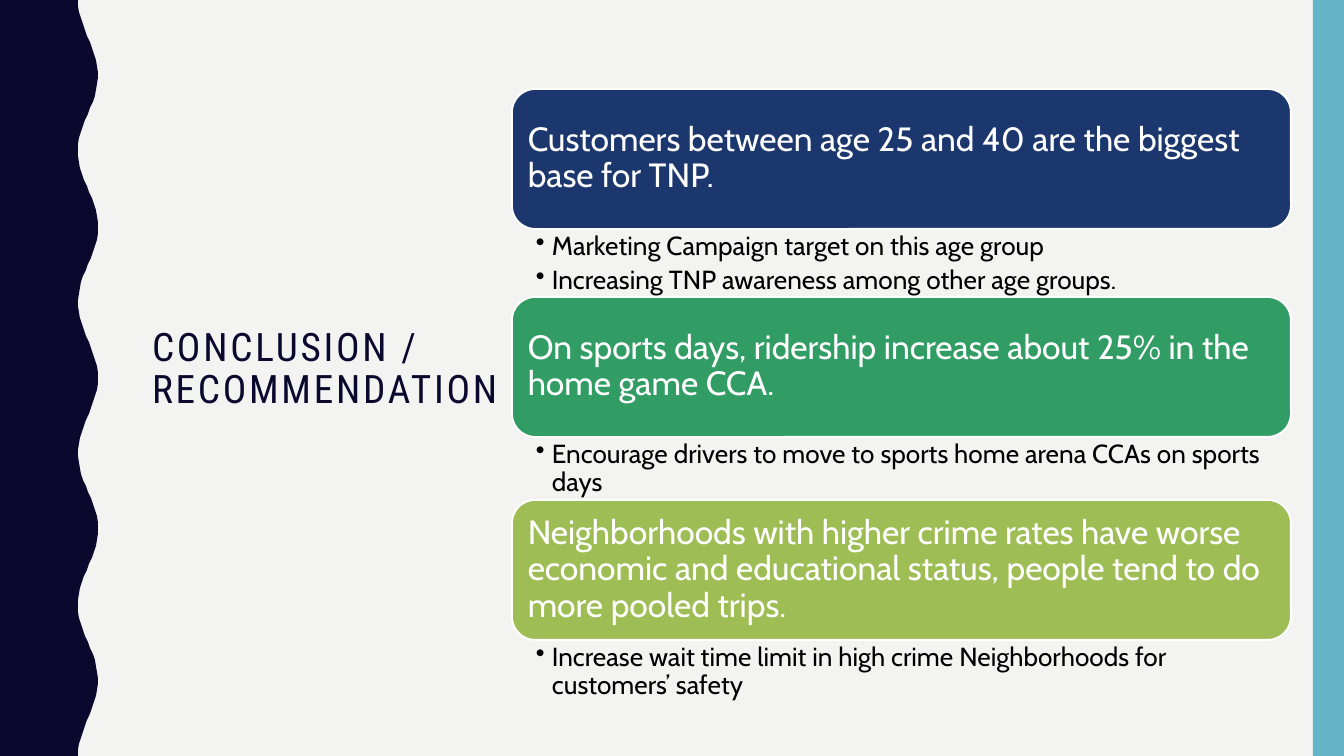
from math import cos, pi

from lxml.etree import SubElement
from pptx import Presentation
from pptx.dml.color import RGBColor
from pptx.enum.shapes import MSO_SHAPE
from pptx.enum.text import MSO_ANCHOR, MSO_AUTO_SIZE, PP_ALIGN
from pptx.oxml.ns import qn
from pptx.util import Emu, Pt

PX = 914400 / 134.4
WIDTH, HEIGHT = 1344, 756
CARD_LEFT, CARD_WIDTH, CARD_HEIGHT = 512, 779, 140


def px(n):
    return Emu(round(n * PX))


def rgb(value):
    return RGBColor.from_string(value)


def write(tf, lines, size, color, font, anchor=MSO_ANCHOR.TOP,
          insets=(0, 0, 0, 0), bullet=None, indent=0, after=0, spacing=0):
    """Fill a text frame with one paragraph per line."""
    tf.word_wrap = True
    tf.auto_size = MSO_AUTO_SIZE.NONE
    tf.vertical_anchor = anchor
    tf.margin_left, tf.margin_top, tf.margin_right, tf.margin_bottom = map(px, insets)
    for i, line in enumerate(lines):
        p = tf.add_paragraph() if i else tf.paragraphs[0]
        p.alignment = PP_ALIGN.LEFT
        p.line_spacing = 0.9
        p.space_before = Pt(0)
        p.space_after = Pt(after)
        if bullet:
            p.level = 1
            pPr = p._p.get_or_add_pPr()
            pPr.set("marL", str(px(indent)))
            pPr.set("indent", str(-px(indent)))
            SubElement(pPr, qn("a:buChar")).set("char", bullet)
        r = p.add_run()
        r.text = line
        r.font.size = Pt(size)
        r.font.name = font
        r.font.color.rgb = rgb(color)
        if spacing:
            r._r.get_or_add_rPr().set("spc", str(round(spacing * 100)))


class Deck:
    NAVY, TEAL, PAPER = "0B082E", "62B4C6", "F3F3F2"
    WHITE, BLACK = "FFFFFF", "000000"
    HEAD_FONT, BODY_FONT = "Roboto Condensed", "Cabin"

    def __init__(self):
        self.prs = Presentation()
        self.prs.slide_width, self.prs.slide_height = px(WIDTH), px(HEIGHT)
        self.s = self.prs.slides.add_slide(self.prs.slide_layouts[5])
        self.s.background.fill.solid()
        self.s.background.fill.fore_color.rgb = rgb(self.PAPER)

    def paint(self, sp, fill, line=None):
        sp.shadow.inherit = False
        sp.fill.solid()
        sp.fill.fore_color.rgb = rgb(fill)
        if line:
            sp.line.color.rgb = rgb(line)
            sp.line.width = Pt(1)
        else:
            sp.line.fill.background()

    def wave(self, middle, swing, waves):
        """Left band whose right edge is a cosine with whole waves."""
        edge = [(middle - swing * cos(2 * pi * waves * y / HEIGHT), y)
                for y in range(0, HEIGHT + 1, 6)]
        builder = self.s.shapes.build_freeform(0, 0, scale=PX)
        builder.add_line_segments(edge + [(0, HEIGHT)], close=True)
        self.paint(builder.convert_to_shape(), self.NAVY)

    def bar(self, x, y, w, h):
        sp = self.s.shapes.add_shape(MSO_SHAPE.RECTANGLE, px(x), px(y), px(w), px(h))
        self.paint(sp, self.TEAL)

    def title(self, text, x, y, w, h):
        sp = self.s.shapes.title
        sp.left, sp.top, sp.width, sp.height = px(x), px(y), px(w), px(h)
        write(sp.text_frame, [text], 21, self.NAVY, self.HEAD_FONT,
              anchor=MSO_ANCHOR.MIDDLE, insets=(13, 7, 0, 7), spacing=1.5)

    def card(self, text, fill, x, y, w, h):
        sp = self.s.shapes.add_shape(MSO_SHAPE.ROUNDED_RECTANGLE,
                                     px(x), px(y), px(w), px(h))
        self.paint(sp, fill, self.WHITE)
        write(sp.text_frame, [text], 18, self.WHITE, self.BODY_FONT,
              anchor=MSO_ANCHOR.MIDDLE, insets=(9, 9, 9, 9))

    def bullets(self, lines, x, y, w, h):
        sp = self.s.shapes.add_textbox(px(x), px(y), px(w), px(h))
        write(sp.text_frame, lines, 14, self.BLACK, self.BODY_FONT,
              insets=(24, 4, 19, 4), bullet="•", indent=16, after=2.8)


# Conclusion, card colour, recommendations, height of the recommendations
FINDINGS = [
    ("Customers between age 25 and 40 are the biggest base for TNP.", "1B376E",
     ["Marketing Campaign target on this age group",
      "Increasing TNP awareness among other age groups."], 68),
    ("On sports days, ridership increase about 25% in the home game CCA.", "319D65",
     ["Encourage drivers to move to sports home arena CCAs on sports days"], 63),
    ("Neighborhoods with higher crime rates have worse economic and educational "
     "status, people tend to do more pooled trips.", "9EBE55",
     ["Increase wait time limit in high crime Neighborhoods for customers’ safety"], 63),
]


def main():
    deck = Deck()

    # Side bands
    deck.wave(middle=88, swing=10, waves=5)
    deck.bar(1313, 0, 31, HEIGHT)

    # Title
    deck.title("CONCLUSION / RECOMMENDATION", 139, 71, 373, 598)

    # Stack of conclusions, each followed by its recommendations
    y = 89
    for conclusion, color, advice, advice_height in FINDINGS:
        deck.card(conclusion, color, CARD_LEFT, y, CARD_WIDTH, CARD_HEIGHT)
        y += CARD_HEIGHT
        deck.bullets(advice, CARD_LEFT, y, CARD_WIDTH, advice_height)
        y += advice_height

    deck.prs.save("out.pptx")


if __name__ == "__main__":
    main()
